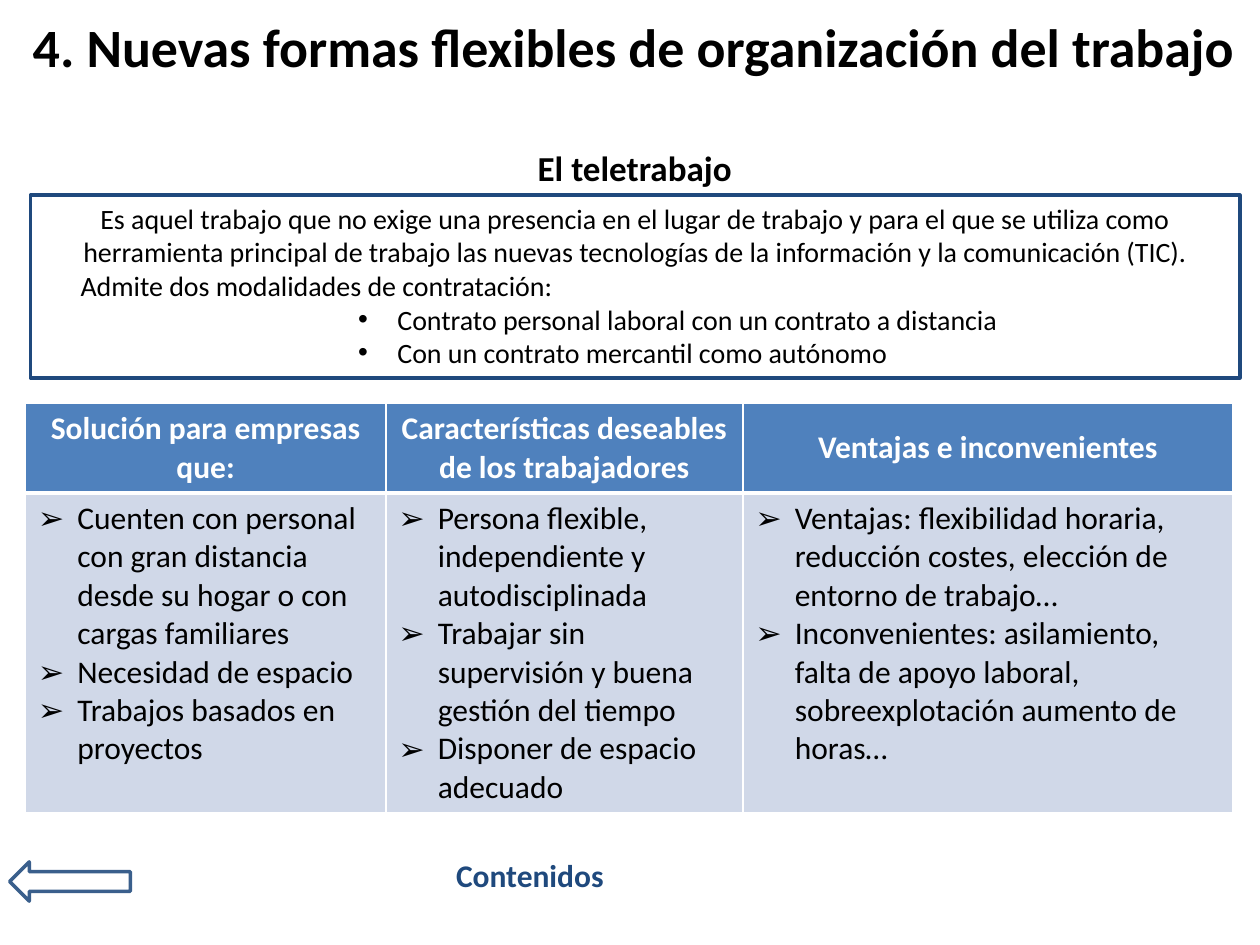
from lxml import etree
from pptx import Presentation
from pptx.dml.color import RGBColor
from pptx.enum.shapes import MSO_SHAPE
from pptx.enum.text import MSO_ANCHOR, MSO_AUTO_SIZE, PP_ALIGN
from pptx.oxml.ns import qn
from pptx.util import Pt

BLACK = RGBColor(0x00, 0x00, 0x00)
WHITE = RGBColor(0xFF, 0xFF, 0xFF)
NAVY = RGBColor(0x1F, 0x49, 0x7D)
STEEL = RGBColor(0x3A, 0x5F, 0x8C)
BLUE = RGBColor(0x4F, 0x81, 0xBD)
PALE = RGBColor(0xD0, 0xD8, 0xE8)
LEFT, CENTER, JUSTIFY = PP_ALIGN.LEFT, PP_ALIGN.CENTER, PP_ALIGN.JUSTIFY
TOP, MIDDLE = MSO_ANCHOR.TOP, MSO_ANCHOR.MIDDLE
RECTANGLE, LEFT_ARROW = MSO_SHAPE.RECTANGLE, MSO_SHAPE.LEFT_ARROW
NO_AUTOFIT = MSO_AUTO_SIZE.NONE
TITLE_ONLY = 5

HEADERS = [
    "Solución para empresas que:",
    "Características deseables de los trabajadores",
    "Ventajas e inconvenientes",
]
COLUMN_ITEMS = [
    [
        "Cuenten con personal con gran distancia desde su hogar o con cargas familiares",
        "Necesidad de espacio",
        "Trabajos basados en proyectos",
    ],
    [
        "Persona flexible, independiente y autodisciplinada",
        "Trabajar sin supervisión y buena gestión del tiempo",
        "Disponer de espacio adecuado",
    ],
    [
        "Ventajas: flexibilidad horaria, reducción costes, elección de entorno de trabajo…",
        "Inconvenientes: asilamiento, falta de apoyo laboral, "
        "sobreexplotación aumento de horas…",
    ],
]
DEFINITION = (
    "Es aquel trabajo que no exige una presencia en el lugar de trabajo y para el que "
    "se utiliza como herramienta principal de trabajo las nuevas tecnologías de la "
    "información y la comunicación (TIC)."
)
CONTRACTS = [
    "Contrato personal laboral con un contrato a distancia",
    "Con un contrato mercantil como autónomo",
]


class SlideBuilder:
    font_name = "Calibri"
    hanging = 22.5

    def __init__(self, presentation):
        self.slide = presentation.slides.add_slide(presentation.slide_layouts[TITLE_ONLY])

    def fill_text(self, frame, lines, size, color=BLACK, bold=False):
        for index, (text, layout) in enumerate(lines):
            paragraph = frame.paragraphs[0] if index == 0 else frame.add_paragraph()
            self.format_paragraph(paragraph, **layout)
            run = paragraph.add_run()
            run.text = text
            run.font.color.rgb = color
            values = {"name": self.font_name, "size": Pt(size), "bold": bold}
            for name, value in values.items():
                setattr(run.font, name, value)

    def format_paragraph(self, paragraph, align=LEFT, margin=0, indent=0, bullet=None):
        values = {"alignment": align, "space_before": Pt(0), "space_after": Pt(0)}
        for name, value in values.items():
            setattr(paragraph, name, value)
        properties = paragraph._p.get_or_add_pPr()
        properties.set("marL", str(Pt(margin)))
        properties.set("indent", str(Pt(indent)))
        if bullet:
            etree.SubElement(properties, qn("a:buFont"), typeface="Arial")
            etree.SubElement(properties, qn("a:buChar"), char=bullet)

    def shape_text(self, shape, lines, size, anchor=TOP, **style):
        frame = shape.text_frame
        values = {"word_wrap": True, "auto_size": NO_AUTOFIT, "vertical_anchor": anchor}
        for name, value in values.items():
            setattr(frame, name, value)
        self.fill_text(frame, lines, size, **style)

    def bullets(self, items, mark, margin):
        layout = {"margin": margin, "indent": -self.hanging, "bullet": mark}
        return [(item, layout) for item in items]

    def title(self, text, box, size):
        shape = self.slide.shapes.title
        for name, value in zip(("left", "top", "width", "height"), box):
            setattr(shape, name, Pt(value))
        self.shape_text(shape, [(text, {})], size, MIDDLE, bold=True)

    def label(self, text, box, size, color=BLACK, align=LEFT):
        shape = self.slide.shapes.add_textbox(*map(Pt, box))
        self.shape_text(shape, [(text, {"align": align})], size, color=color, bold=True)

    def outline(self, kind, box, color):
        shape = self.slide.shapes.add_shape(kind, *map(Pt, box))
        shape.shadow.inherit = False
        shape.fill.background()
        shape.line.color.rgb = color
        shape.line.width = Pt(2)
        return shape

    def cell(self, cell, lines, fill, bottom, anchor=TOP, **style):
        cell.fill.solid()
        cell.fill.fore_color.rgb = fill
        cell.vertical_anchor = anchor
        self.fill_text(cell.text_frame, lines, 18, **style)
        properties = cell._tc.get_or_add_tcPr()
        for index, side in enumerate("LRTB"):
            width = bottom if side == "B" else 1
            border = etree.Element(qn(f"a:ln{side}"), w=str(Pt(width)))
            solid = etree.SubElement(border, qn("a:solidFill"))
            etree.SubElement(solid, qn("a:srgbClr"), val=str(WHITE))
            properties.insert(index, border)

    def table(self, box, widths, heights):
        table = self.slide.shapes.add_table(2, len(widths), *map(Pt, box)).table
        for column, width in zip(table.columns, widths):
            column.width = Pt(width)
        for row, height in zip(table.rows, heights):
            row.height = Pt(height)
        for index, (header, items) in enumerate(zip(HEADERS, COLUMN_ITEMS)):
            self.cell(table.cell(0, index), [(header, {"align": CENTER})], BLUE, 3,
                      MIDDLE, color=WHITE, bold=True)
            self.cell(table.cell(1, index), self.bullets(items, "➢", self.hanging), PALE, 1)


def main():
    presentation = Presentation()
    presentation.slide_width, presentation.slide_height = Pt(720), Pt(540)
    builder = SlideBuilder(presentation)
    builder.label("Contenidos", (253.5, 485.5, 104, 29), 18, NAVY)
    builder.title("4. Nuevas formas flexibles de organización del trabajo",
                  (11.5, 3.5, 708.5, 45.5), 30.8)
    builder.outline(LEFT_ARROW, (5.5, 492.5, 69, 22.5), STEEL)
    builder.label("El teletrabajo", (123, 80, 479.5, 31.5), 20, align=CENTER)
    definition_box = builder.outline(RECTANGLE, (17.5, 111.5, 691, 104.5), NAVY)
    lines = [
        (DEFINITION, {"align": CENTER}),
        ("Admite dos modalidades de contratación:", {"align": JUSTIFY, "indent": 21.5}),
    ] + builder.bullets(CONTRACTS, "•", 202.5)
    builder.shape_text(definition_box, lines, 16)
    builder.table((14.5, 230.5, 690, 230.5), (206, 204, 280), (50.5, 180))
    presentation.save("out.pptx")


if __name__ == "__main__":
    main()
